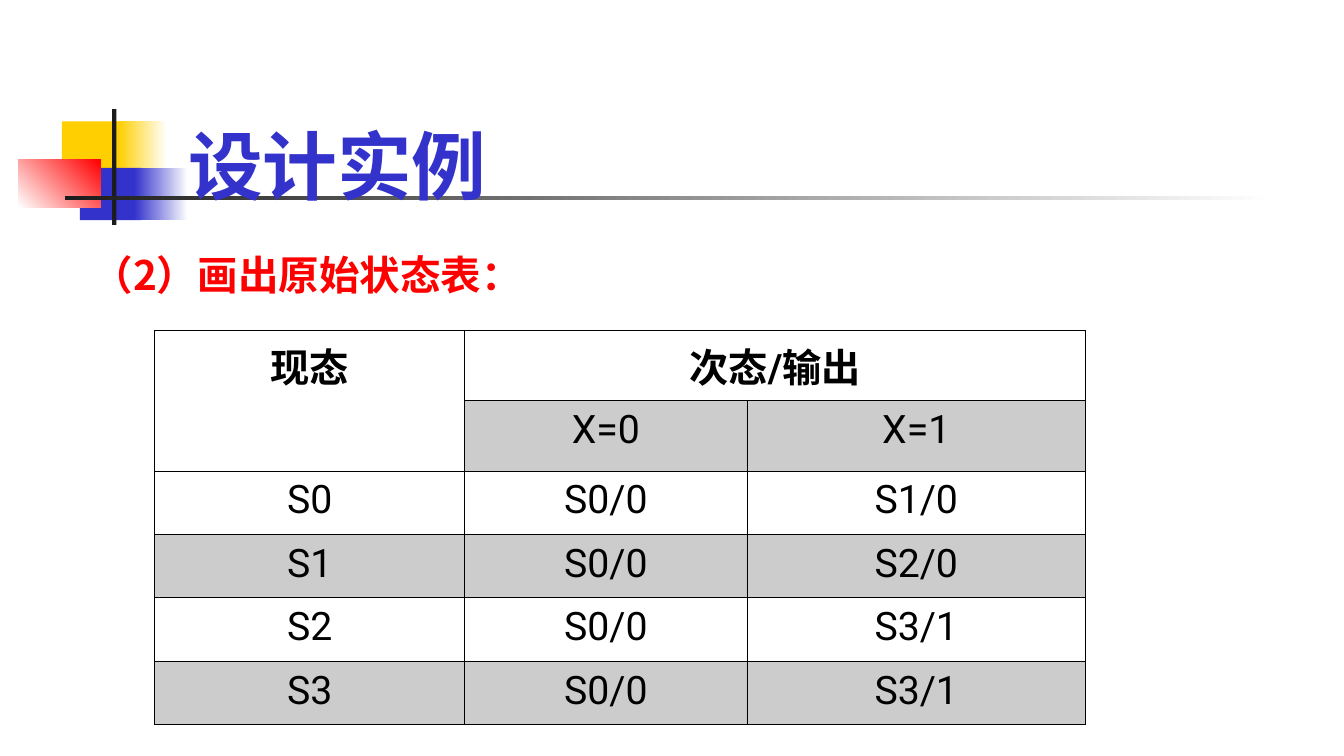
"""Build the slide with the original state table of the design example."""
import pptx
import pptx.dml.color
import pptx.enum.shapes
import pptx.enum.text
import pptx.oxml
import pptx.oxml.ns
import pptx.util

Pt = pptx.util.Pt
RGB = pptx.dml.color.RGBColor.from_string
ALIGN = pptx.enum.text.PP_ALIGN
ANCHOR = pptx.enum.text.MSO_ANCHOR
CJK = "Noto Sans CJK SC"
COLORS = {"yellow": "FFCF01", "blue": "3333CC", "red": "FF0000",
          "dark": "1C1C1C", "white": "FFFFFF", "black": "000000"}


def add_text(p, text, font="Roboto", size=21, color="black", bold=False, align=None):
    r = p.add_run()
    r.text = text
    r.font.name, r.font.size, r.font.bold = font, Pt(size), bold
    r.font.color.rgb = RGB(COLORS[color])
    ea = pptx.oxml.parse_xml(f'<a:ea {pptx.oxml.ns.nsdecls("a")} typeface="{CJK}"/>')
    r.font._element.append(ea)
    if align is not None:
        p.alignment = align


class SlideBuilder:
    def __init__(self, prs):
        self.s = prs.slides.add_slide(prs.slide_layouts[5])

    def block(self, box, *colors, angle=0):
        sp = self.s.shapes.add_shape(pptx.enum.shapes.MSO_SHAPE.RECTANGLE, *map(Pt, box))
        sp.shadow.inherit = False
        sp.line.fill.background()
        if len(colors) == 1:
            sp.fill.solid()
            sp.fill.fore_color.rgb = RGB(COLORS[colors[0]])
            return
        sp.fill.gradient()
        sp.fill.gradient_angle = angle
        for stop, position, color in zip(sp.fill.gradient_stops, (0, 1), colors):
            stop.position = position
            stop.color.rgb = RGB(COLORS[color])

    def title(self, box, text):
        sp = self.s.shapes.title
        sp.left, sp.top, sp.width, sp.height = map(Pt, box)
        self.s.shapes._spTree.append(sp._element)
        tf = sp.text_frame
        tf.auto_size = pptx.enum.text.MSO_AUTO_SIZE.NONE
        tf.vertical_anchor = ANCHOR.MIDDLE
        tf.margin_top, tf.margin_bottom = Pt(5), 0
        add_text(tf.paragraphs[0], text, size=40, color="blue", bold=True, align=ALIGN.LEFT)

    def heading(self, box, runs):
        tf = self.s.shapes.add_textbox(*map(Pt, box)).text_frame
        tf.word_wrap = True
        p = tf.paragraphs[0]
        p.line_spacing = 1.11
        for text, font in runs:
            add_text(p, text, font=font, size=21.7, color="red", bold=True)

    def cell(self, cell, text, bold, shaded):
        tc_pr = cell._tc.get_or_add_tcPr()
        for side in "LRTB":
            tc_pr.append(pptx.oxml.parse_xml(
                f'<a:ln{side} {pptx.oxml.ns.nsdecls("a")} w="{Pt(0.45)}"><a:solidFill>'
                f'<a:srgbClr val="{COLORS["black"]}"/></a:solidFill></a:ln{side}>'))
        if shaded:
            cell.fill.solid()
            cell.fill.fore_color.rgb = RGB(COLORS["black"])
            color = tc_pr.find(pptx.oxml.ns.qn("a:solidFill"))[0]
            color.append(pptx.oxml.parse_xml(
                f'<a:alpha {pptx.oxml.ns.nsdecls("a")} val="20000"/>'))
        else:
            cell.fill.background()
        if text:
            add_text(cell.text_frame.paragraphs[0], text, bold=bold, align=ALIGN.CENTER)

    def table(self, left, top, widths, heights, rows):
        table = self.s.shapes.add_table(
            len(rows), len(widths), Pt(left), Pt(top),
            Pt(sum(widths)), Pt(sum(heights))).table
        table.first_row = table.horz_banding = False
        for col, width in zip(table.columns, widths):
            col.width = Pt(width)
        for row, height in zip(table.rows, heights):
            row.height = Pt(height)
        table.cell(0, 0).merge(table.cell(1, 0))
        table.cell(0, 1).merge(table.cell(0, 2))
        for i, row in enumerate(rows):
            for j, text in enumerate(row):
                shaded = i % 2 == 1 and (i, j) != (1, 0)
                self.cell(table.cell(i, j), text, bold=i == 0, shaded=shaded)


def main():
    prs = pptx.Presentation()
    prs.slide_width, prs.slide_height = Pt(720), Pt(405)
    slide = SlideBuilder(prs)
    slide.block((33.1, 65, 34.5, 28), "yellow")
    slide.block((63.4, 65, 26, 28), "yellow", "white")
    slide.block((42.8, 90, 33, 28), "blue")
    slide.block((72, 90, 28.8, 28), "blue", "white")
    slide.block((9.8, 85.5, 44, 25.5), "white", "red", angle=45)
    slide.block((60, 58.5, 2.4, 62), "dark")
    slide.block((34.9, 105, 648, 2.3), "dark", "white")
    slide.title((93.6, 62, 612, 47), "设计实例")
    slide.heading((42.5, 127.5, 520, 36), [("（2）画出", CJK), ("原始状态表：", "Times New Roman")])
    states = [("S0", "S0/0", "S1/0"), ("S1", "S0/0", "S2/0"),
              ("S2", "S0/0", "S3/1"), ("S3", "S0/0", "S3/1")]
    slide.table(82.8, 177.1, [166.2, 151.2, 181.4], [37.6] * 2 + [34] * 4,
                [("现态", "次态/输出", ""), ("", "X=0", "X=1"), *states])
    prs.save("out.pptx")


if __name__ == "__main__":
    main()
